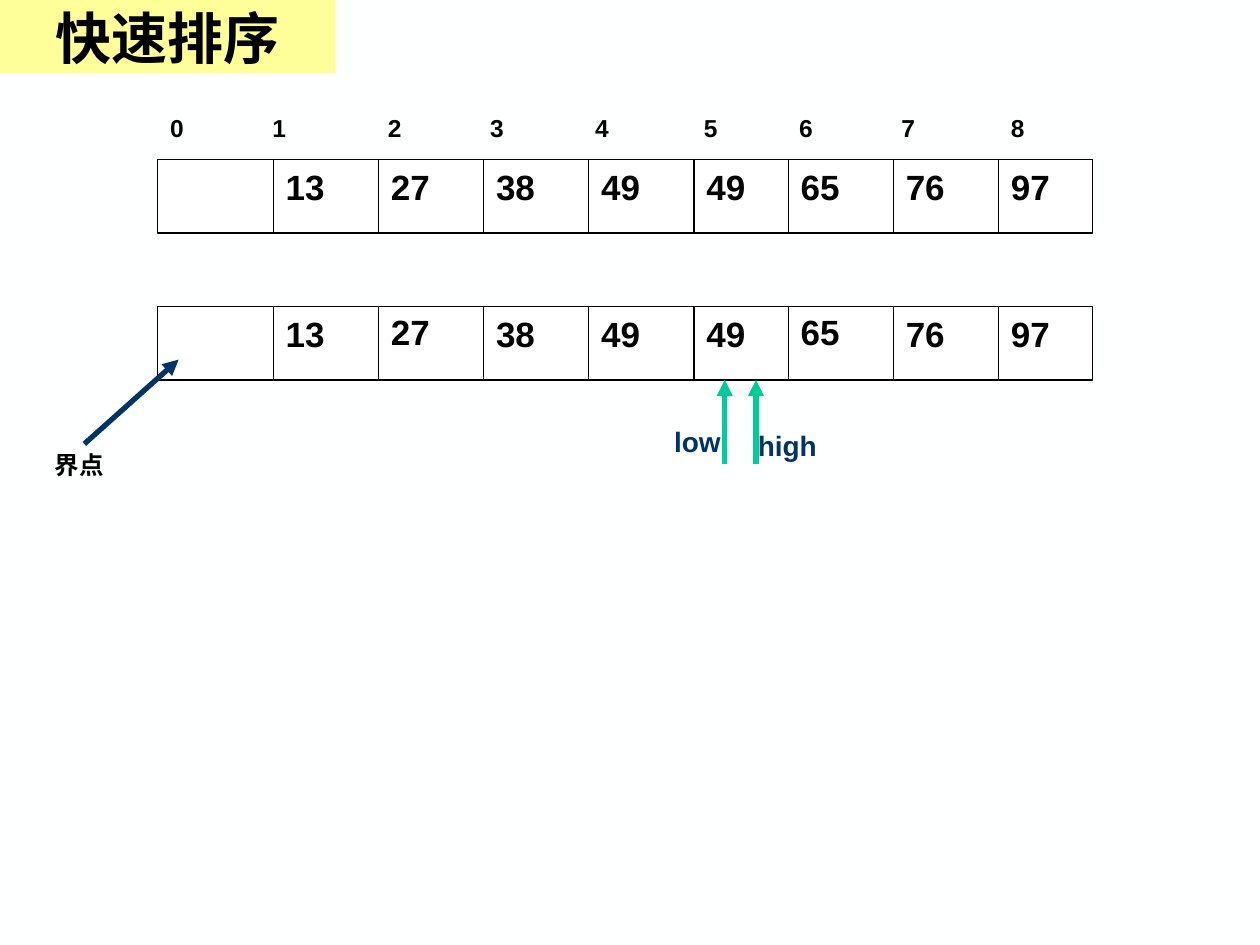
import itertools
from dataclasses import dataclass

import pptx
import pptx.dml.color
import pptx.enum.shapes
import pptx.enum.text
import pptx.oxml
import pptx.oxml.ns
import pptx.util
from pptx.util import Cm, Pt


@dataclass(frozen=True)
class Theme:
    background: str = "FEFFFF"
    black: str = "000000"
    white: str = "FFFFFF"
    banner: str = "FFFF99"
    navy: str = "003366"
    green: str = "00CC99"
    body_font: str = "Arial"
    title_font: str = "Times New Roman"
    title_size: int = 32
    value_size: int = 20
    pointer_size: int = 16
    label_size: int = 14
    thin: float = 0.75
    thick: float = 3


THEME = Theme()
CELL_WIDTHS = [2.33, 2.12, 2.12, 2.12, 2.12, 1.9, 2.12, 2.12, 1.9]
CELL_EDGES = [0, *itertools.accumulate(CELL_WIDTHS)]
VALUES = ["", "13", "27", "38", "49", "49", "65", "76", "97"]
INDEX_STOPS = [2.06, 4.39, 6.45, 8.57, 10.76, 12.68, 14.74, 16.95]


def rgb(color):
    return pptx.dml.color.RGBColor.from_string(color)


def add_xml(parent, tag, **attributes):
    child = pptx.oxml.parse_xml(f'<a:{tag} {pptx.oxml.ns.nsdecls("a")}/>')
    for name, value in attributes.items():
        child.set(name, str(value))
    parent.append(child)
    return child


def write(para, text, size, color=THEME.black, font=THEME.body_font):
    span = para.add_run()
    span.text = text
    for name, value in {"size": Pt(size), "bold": True, "name": font}.items():
        setattr(span.font, name, value)
    span.font.color.rgb = rgb(color)


def add_text(parent, box, text, size, color=THEME.black, stops=()):
    frame = parent.shapes.add_textbox(*map(Cm, box)).text_frame
    frame.word_wrap = True
    frame.auto_size = pptx.enum.text.MSO_AUTO_SIZE.SHAPE_TO_FIT_TEXT
    para = frame.paragraphs[0]
    if stops:
        tabs = add_xml(para._p.get_or_add_pPr(), "tabLst")
        for stop in stops:
            add_xml(tabs, "tab", pos=Cm(stop), algn="l")
    write(para, text, size, color)


def add_rectangle(parent, box, fill):
    shape = parent.shapes.add_shape(
        pptx.enum.shapes.MSO_SHAPE.RECTANGLE, *map(Cm, box))
    shape.shadow.inherit = False
    shape.fill.solid()
    shape.fill.fore_color.rgb = rgb(fill)
    return shape


def add_line(parent, start, end, color, width, arrow=False):
    line = parent.shapes.add_connector(
        pptx.enum.shapes.MSO_CONNECTOR.STRAIGHT, *map(Cm, (*start, *end)))
    line.line.color.rgb = rgb(color)
    line.line.width = Pt(width)
    if arrow:
        add_xml(line.line._get_or_add_ln(), "tailEnd", type="triangle")
    add_xml(line._element.spPr, "effectLst")


def add_title(page, box):
    banner = add_rectangle(page, box, THEME.banner)
    banner.line.fill.background()
    frame = banner.text_frame
    frame.vertical_anchor = pptx.enum.text.MSO_ANCHOR.MIDDLE
    para = frame.paragraphs[0]
    para.alignment = pptx.enum.text.PP_ALIGN.CENTER
    write(para, "快速排序", THEME.title_size, font=THEME.title_font)


def add_array(page, box, raised=()):
    """Draw one row of cells; values at the raised indices sit slightly higher."""
    left, top, width, height = box
    cells = page.shapes.add_group_shape()
    outline = add_rectangle(cells, box, THEME.white)
    outline.line.color.rgb = rgb(THEME.black)
    outline.line.width = Pt(THEME.thin)
    for edge in CELL_EDGES[1:-1]:
        add_line(cells, (left + edge, top), (left + edge, top + height),
                 THEME.black, THEME.thin)
    for index, (edge, value) in enumerate(zip(CELL_EDGES, VALUES)):
        if value:
            lift = 0.05 if index in raised else 0
            add_text(page, (left + edge, top - lift, 1.69, 1.11),
                     value, THEME.value_size)


def add_indices(page, box):
    add_text(page, box, "\t".join(map(str, range(len(VALUES)))),
             THEME.label_size, stops=INDEX_STOPS)


def add_pointer(page, box, text, text_left, text_top):
    """Draw an upward arrow in the box, with its label offset from the corner."""
    left, top, _, height = box
    pointer = page.shapes.add_group_shape()
    add_line(pointer, (left, top + height), (left, top),
             THEME.green, THEME.thick, arrow=True)
    add_text(pointer, (left + text_left, top + text_top, 2.33, 0.94),
             text, THEME.pointer_size, THEME.navy)


def add_pivot(page, box):
    left, top, width, height = box
    add_text(page, (left, top + 1.7, 2.12, 0.86), "界点", THEME.label_size)
    add_line(page, (left + 0.85, top + 1.7), (left + width, top),
             THEME.navy, THEME.thick, arrow=True)


def main():
    deck = pptx.Presentation()
    deck.slide_width, deck.slide_height = Cm(25.4), Cm(19.05)
    page = deck.slides.add_slide(deck.slide_layouts[6])
    page.background.fill.solid()
    page.background.fill.fore_color.rgb = rgb(THEME.background)

    left, width, height = 3.18, CELL_EDGES[-1], 1.48
    # Sorted array with its indices
    add_array(page, (left, 3.22, width, height))
    add_indices(page, (left, 2.16, width, 0.86))
    # Array with the pointers and the pivot
    add_array(page, (left, 6.18, width, height), raised=(2, 6))
    add_pointer(page, (15.24, 7.66, 0, 1.69), "high", -0.21, 0.85)
    add_pointer(page, (14.61, 7.66, 0, 1.69), "low", -1.27, 0.77)
    add_pivot(page, (0.85, 7.25, 2.75, 2.56))
    # Title banner
    add_title(page, (0, 0, 6.77, 1.48))
    deck.save("out.pptx")


if __name__ == "__main__":
    main()
